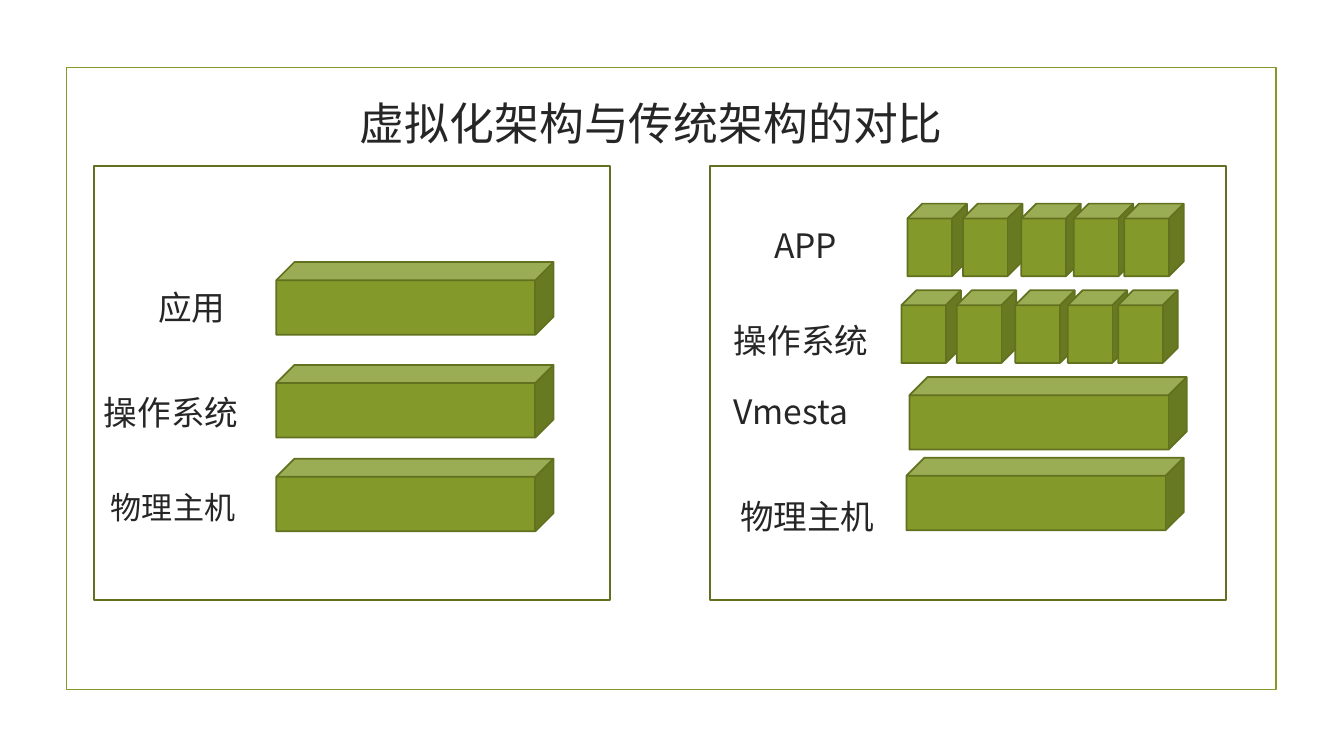
"""Build a slide comparing virtualised and traditional architecture."""
from dataclasses import dataclass

from lxml import etree
from pptx import Presentation
from pptx.dml.color import RGBColor
from pptx.enum.shapes import MSO_SHAPE
from pptx.enum.text import MSO_ANCHOR, PP_ALIGN
from pptx.oxml.ns import qn
from pptx.util import Inches, Pt

RECTANGLE, CUBE = MSO_SHAPE.RECTANGLE, MSO_SHAPE.CUBE
MIDDLE, LEFT = MSO_ANCHOR.MIDDLE, PP_ALIGN.LEFT
COLOURS = {"green": "83992A", "edge": "61711F", "white": "FFFFFF", "text": "262626"}
FONT = "Noto Sans CJK SC"
LAYER_WIDTH, UNIT_WIDTH, CUBE_HEIGHT = 2.75, 0.59, 0.72
UNIT_OFFSETS = (0, 0.55, 1.13, 1.65, 2.15)
LABEL_HEIGHT = 0.7


@dataclass(frozen=True)
class Layer:
    """One level of an architecture: its label and its cubes."""
    label: str
    label_left: float
    label_middle: float
    left: float
    top: float
    divided: bool = False
    size: float = 24


TRADITIONAL = (
    Layer("应用", 1.57, 3.05, 2.74, 2.6),
    Layer("操作系统", 1.03, 4.09, 2.74, 3.62),
    Layer("物理主机", 1.1, 5.03, 2.74, 4.55, size=22.2),
)
VIRTUALISED = (
    Layer("APP", 7.68, 2.43, 9.0, 2.02, divided=True),
    Layer("操作系统", 7.28, 3.37, 8.94, 2.88, divided=True),
    Layer("Vmesta", 7.28, 4.08, 9.02, 3.74),
    Layer("物理主机", 7.34, 5.12, 8.99, 4.54),
)


def colour(name: str) -> RGBColor:
    """Return a named colour of the slide."""
    return RGBColor.from_string(COLOURS[name])


def add_block(slide, kind, left: float, top: float, width: float, height: float,
              fill: str | None, edge: str = "edge") -> None:
    """Draw an outlined shape, filled if a fill is named."""
    block = slide.shapes.add_shape(kind, Inches(left), Inches(top), Inches(width), Inches(height))
    block.shadow.inherit = False
    if fill:
        block.fill.solid()
        block.fill.fore_color.rgb = colour(fill)
    else:
        block.fill.background()
    block.line.color.rgb = colour(edge)
    block.line.width = Pt(1.25)


def write(holder, text: str, left: float, middle: float, width: float, size: float) -> None:
    """Place a text holder around a middle line and write its run."""
    holder.left, holder.top = Inches(left), Inches(middle - LABEL_HEIGHT / 2)
    holder.width, holder.height = Inches(width), Inches(LABEL_HEIGHT)
    frame = holder.text_frame
    frame.word_wrap = True
    frame.vertical_anchor = MIDDLE
    frame.margin_left = frame.margin_right = frame.margin_top = frame.margin_bottom = 0
    paragraph = frame.paragraphs[0]
    paragraph.alignment = LEFT
    run = paragraph.add_run()
    run.text = text
    run.font.size = Pt(size)
    run.font.color.rgb = colour("text")
    run.font.name = FONT
    etree.SubElement(run.font._element, qn("a:ea")).set("typeface", FONT)


def add_layer(slide, layer: Layer) -> None:
    """Draw the cubes of a layer and its label."""
    offsets, width = (UNIT_OFFSETS, UNIT_WIDTH) if layer.divided else ((0,), LAYER_WIDTH)
    for offset in offsets:
        add_block(slide, CUBE, layer.left + offset, layer.top, width, CUBE_HEIGHT, "green")
    label = slide.shapes.add_textbox(0, 0, 0, 0)
    write(label, layer.label, layer.label_left, layer.label_middle, 1.5, layer.size)


def main() -> None:
    """Build and save the presentation."""
    presentation = Presentation()
    presentation.slide_width, presentation.slide_height = Inches(13.33), Inches(7.5)
    slide = presentation.slides.add_slide(presentation.slide_layouts[5])
    add_block(slide, RECTANGLE, 0.66, 0.67, 12, 6.17, None, "green")
    write(slide.shapes.title, "虚拟化架构与传统架构的对比", 3.57, 1.22, 6.2, 32)
    for panel_left, layers in ((0.93, TRADITIONAL), (7.04, VIRTUALISED)):
        add_block(slide, RECTANGLE, panel_left, 1.65, 5.12, 4.3, "white")
        for layer in layers:
            add_layer(slide, layer)
    presentation.save("out.pptx")


if __name__ == "__main__":
    main()
